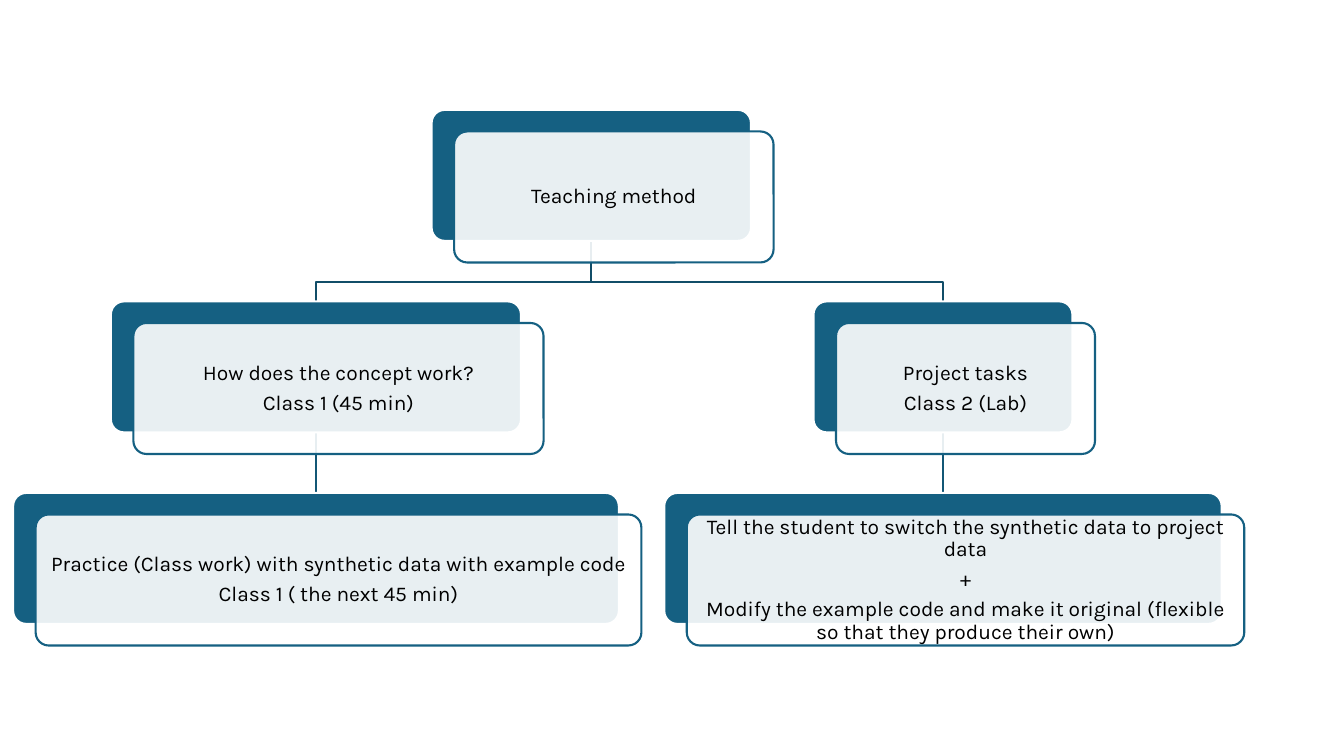
from lxml.etree import SubElement
from pptx import Presentation
from pptx.dml.color import RGBColor
from pptx.enum.shapes import MSO_CONNECTOR as Connector, MSO_SHAPE as Shape
from pptx.enum.text import MSO_ANCHOR as Anchor, PP_ALIGN as Align
from pptx.oxml.ns import qn
from pptx.util import Pt

TEAL, WHITE, BLACK = "156082", "FFFFFF", "000000"
BRANCH, STEM = "114D68", "135776"
CARD_HEIGHT, ROW_PITCH, TOP = 93.6, 136.8, 78.5
SHIFT_X, SHIFT_Y = 16.1, 15.4
BEND = 29.5
ROOT = (422.4, 228.2, ["Teaching method"])
COLUMNS = [
    (225.7, [
        (293, ["How does the concept work?", "Class 1 (45 min)"]),
        (432.7, ["Practice (Class work) with synthetic data with example code",
                 "Class 1 ( the next 45 min)"]),
    ]),
    (673.6, [
        (185, ["Project tasks", "Class 2 (Lab)"]),
        (398.2, ["Tell the student to switch the synthetic data to project data", "+",
                 "Modify the example code and make it original "
                 "(flexible so that they produce their own)"]),
    ]),
]


def color(value):
    """Turn a hex string into a colour."""
    return RGBColor.from_string(value)


def set_line(shape, value):
    """Give a shape or connector a thin line of one colour."""
    shape.line.color.rgb = color(value)
    shape.line.width = Pt(1.5)


def send_to_back(shape):
    """Place a shape behind everything else on the slide."""
    shape.element.getparent().insert(2, shape.element)


def add_panel(slide, left, top, width, fill, line):
    """Add one rounded rectangle."""
    panel = slide.shapes.add_shape(
        Shape.ROUNDED_RECTANGLE, Pt(left), Pt(top), Pt(width), Pt(CARD_HEIGHT))
    panel.adjustments[0] = 0.1
    panel.shadow.inherit = False
    panel.fill.solid()
    panel.fill.fore_color.rgb = color(fill)
    set_line(panel, line)
    return panel


def add_card(slide, center, top, width, lines):
    """Add a solid panel with a translucent text panel shifted over it."""
    left = center - width / 2
    back = add_panel(slide, left, top, width, TEAL, WHITE)
    front = add_panel(slide, left + SHIFT_X, top + SHIFT_Y, width, WHITE, TEAL)
    fill_color = front.element.spPr.find(".//" + qn("a:srgbClr"))
    SubElement(fill_color, qn("a:alpha"), val="90000")

    frame = front.text_frame
    frame.word_wrap = True
    frame.vertical_anchor = Anchor.MIDDLE
    frame.margin_left = frame.margin_right = Pt(4.3)
    frame.margin_top = frame.margin_bottom = Pt(4.3)
    frame.text = "\n".join(lines)
    for paragraph in frame.paragraphs:
        paragraph.alignment = Align.CENTER
        paragraph.line_spacing = 0.9
        paragraph.space_after = Pt(5.25)
        paragraph.font.name = "Karla"
        paragraph.font.size = Pt(15)
        paragraph.font.color.rgb = color(BLACK)
    return back


def add_branch(slide, start, end, top, bottom):
    """Add a bent line from the root down to a column."""
    bend = Pt(top + BEND)
    builder = slide.shapes.build_freeform(Pt(start), Pt(top))
    builder.add_line_segments(
        [(Pt(start), bend), (Pt(end), bend), (Pt(end), Pt(bottom))], close=False)
    branch = builder.convert_to_shape()
    branch.shadow.inherit = False
    branch.fill.background()
    set_line(branch, BRANCH)
    send_to_back(branch)


def add_stem(slide, upper, lower):
    """Join two stacked cards with a straight line."""
    stem = slide.shapes.add_connector(Connector.STRAIGHT, 0, 0, 0, 0)
    stem.begin_connect(upper, 2)
    stem.end_connect(lower, 0)
    set_line(stem, STEM)
    SubElement(stem.element.spPr, qn("a:effectLst"))
    send_to_back(stem)


def add_column(slide, center, top, cards):
    """Stack the cards of one column and join them."""
    backs = [add_card(slide, center, top + row * ROW_PITCH, width, lines)
             for row, (width, lines) in enumerate(cards)]
    for upper, lower in zip(backs, backs[1:]):
        add_stem(slide, upper, lower)


def add_tree(slide, top):
    """Add the root card with its columns below."""
    root_center, root_width, root_lines = ROOT
    add_card(slide, root_center, top, root_width, root_lines)
    column_top = top + ROW_PITCH
    for center, cards in COLUMNS:
        add_column(slide, center, column_top, cards)
        add_branch(slide, root_center, center, top + CARD_HEIGHT, column_top)


def main():
    """Build and save the presentation."""
    presentation = Presentation()
    presentation.slide_width, presentation.slide_height = Pt(960), Pt(540)
    slide = presentation.slides.add_slide(presentation.slide_layouts[6])
    add_tree(slide, TOP)
    presentation.save("out.pptx")


if __name__ == "__main__":
    main()
